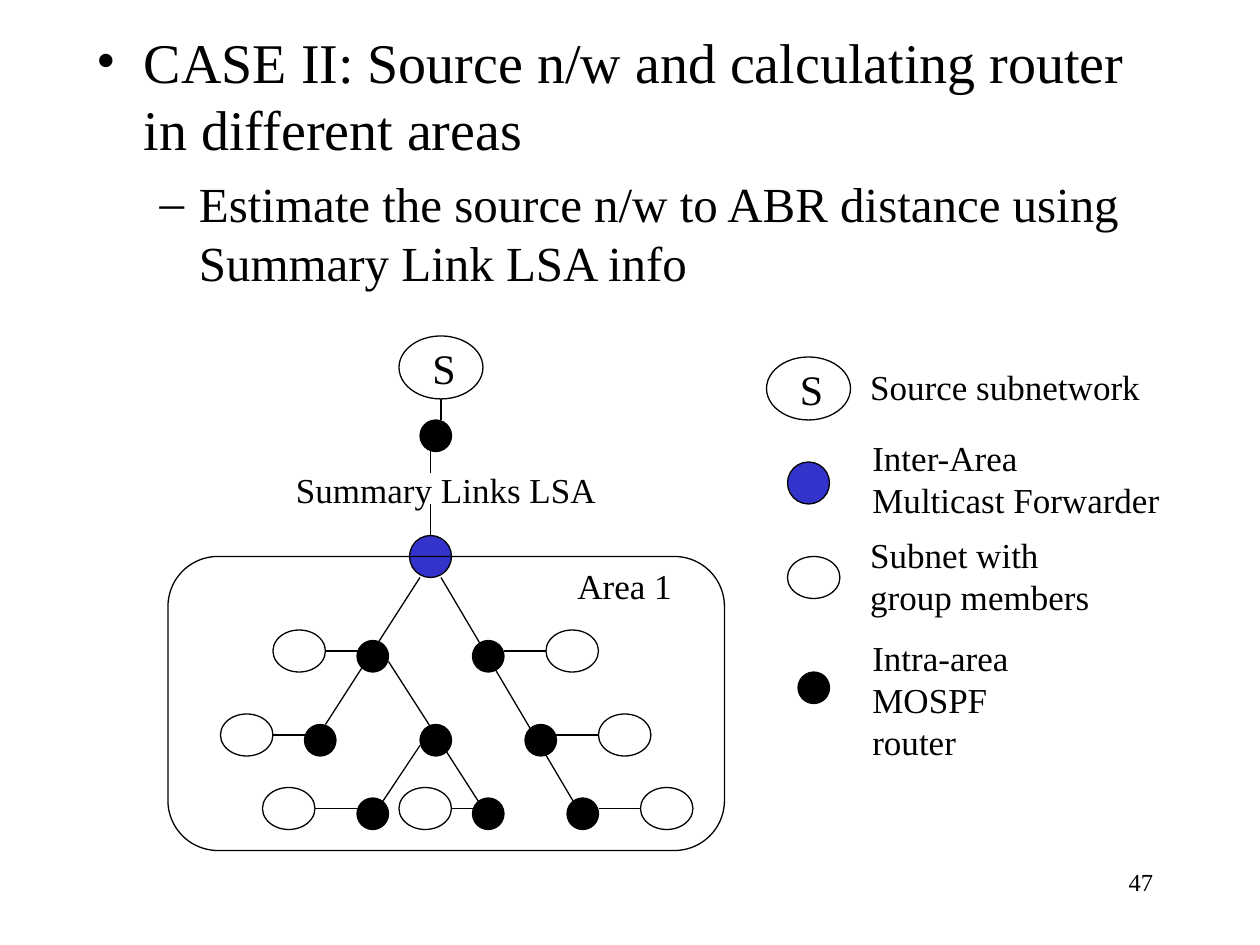
from lxml import etree
from pptx import Presentation
from pptx.dml.color import RGBColor
from pptx.enum.shapes import MSO_CONNECTOR, MSO_SHAPE
from pptx.enum.text import MSO_ANCHOR, MSO_AUTO_SIZE, PP_ALIGN
from pptx.oxml.ns import qn
from pptx.util import Pt

ELLIPSE, ROUNDED = MSO_SHAPE.OVAL, MSO_SHAPE.ROUNDED_RECTANGLE
STRAIGHT = MSO_CONNECTOR.STRAIGHT
LEFT, RIGHT = PP_ALIGN.LEFT, PP_ALIGN.RIGHT
TOP, NO_AUTOFIT = MSO_ANCHOR.TOP, MSO_AUTO_SIZE.NONE

EMU_PER_PX = 7620  # 120 px to the inch
FONT = "Times New Roman"
COLORS = {"ink": "000000", "forwarder": "3333CC"}
LINE_WIDTH = 0.75

ROUTER, FORWARDER = (30, 30), (40, 40)
SUBNET, SOURCE = (50, 40), (80, 60)

OUTLINE = [
    (0, 32, 0, "CASE II: Source n/w and calculating router in different areas"),
    (1, 28, 7, "Estimate the source n/w to ABR distance using Summary Link LSA info"),
]
ROUTERS = [
    (400, 400),
    (340, 610), (450, 610),
    (290, 690), (400, 690), (500, 690),
    (340, 760), (450, 760), (540, 760),
]
TREE_LINKS = [
    (420, 380, 420, 400),
    (410, 430, 410, 450),
    (410, 480, 410, 510),
    (400, 550, 310, 690),
    (420, 550, 550, 770),
    (370, 630, 460, 770),
    (400, 710, 360, 770),
]
# left, top, then the two ends of the link to the router
MEMBER_SUBNETS = [
    (260, 600, 310, 350), (520, 600, 480, 520),
    (210, 680, 260, 300), (570, 680, 530, 570),
    (250, 750, 300, 340), (380, 750, 430, 450), (610, 750, 570, 610),
]
LABELS = [
    (538, 532, 114, ["Area 1"]),
    (270, 440, 310, ["Summary Links LSA"]),
    (817, 342, 281, ["Source subnetwork"]),
    (819, 410, 298, ["Inter-Area", "Multicast Forwarder"]),
    (817, 502, 233, ["Subnet with", "group members"]),
    (819, 600, 221, ["Intra-area", "MOSPF router"]),
]


def px(value):
    return int(value * EMU_PER_PX)


def rgb(name):
    return RGBColor.from_string(COLORS[name])


class SlideBuilder:
    def __init__(self, slide):
        self.slide = slide

    def style_run(self, paragraph, text, size):
        run = paragraph.add_run()
        run.text = text
        for name, value in {"name": FONT, "size": Pt(size)}.items():
            setattr(run.font, name, value)
        run.font.color.rgb = rgb("ink")

    def outline(self, left, top, width, height, entries):
        """Fill the body placeholder with bulleted levels."""
        body = self.slide.placeholders[1]
        box = {"left": left, "top": top, "width": width, "height": height}
        for name, value in box.items():
            setattr(body, name, px(value))
        frame = body.text_frame
        frame.auto_size, frame.vertical_anchor = NO_AUTOFIT, TOP
        for index, (level, size, before, text) in enumerate(entries):
            paragraph = frame.add_paragraph() if index else frame.paragraphs[0]
            bullet_font = etree.SubElement(
                paragraph._p.get_or_add_pPr(), qn("a:buFont"))
            bullet_font.set("typeface", FONT)
            paragraph.level = level
            paragraph.space_before = Pt(before)
            self.style_run(paragraph, text, size)

    def text(self, left, top, width, height, lines, size, align=LEFT, wrap=False):
        box = self.slide.shapes.add_textbox(
            px(left), px(top), px(width), px(height))
        frame = box.text_frame
        frame.word_wrap = wrap
        for index, line in enumerate(lines):
            paragraph = frame.add_paragraph() if index else frame.paragraphs[0]
            paragraph.alignment = align
            self.style_run(paragraph, line, size)

    def shape(self, kind, left, top, size, fill=None):
        shape = self.slide.shapes.add_shape(
            kind, px(left), px(top), px(size[0]), px(size[1]))
        shape.shadow.inherit = False
        if fill:
            shape.fill.solid()
            shape.fill.fore_color.rgb = rgb(fill)
        else:
            shape.fill.background()
        self.style_line(shape.line)
        return shape

    def style_line(self, line):
        line.color.rgb = rgb("ink")
        line.width = Pt(LINE_WIDTH)

    def link(self, *ends):
        link = self.slide.shapes.add_connector(STRAIGHT, *map(px, ends))
        self.style_line(link.line)
        etree.SubElement(link._element.spPr, qn("a:effectLst"))

    def source(self, left, top):
        self.shape(ELLIPSE, left, top, SOURCE)
        self.text(left + 20, top, 46, 60, ["S"], 24)


def main():
    deck = Presentation()
    deck.slide_width, deck.slide_height = px(1200), px(900)
    slide = deck.slides.add_slide(deck.slide_layouts[1])
    title = slide.shapes.title._element
    title.getparent().remove(title)
    builder = SlideBuilder(slide)

    builder.text(860, 820, 250, 60, ["47"], 14, RIGHT, True)
    builder.outline(80, 20, 1020, 780, OUTLINE)

    builder.source(380, 320)
    for left, top in ROUTERS:
        builder.shape(ELLIPSE, left, top, ROUTER, "ink")
    builder.shape(ELLIPSE, 390, 510, FORWARDER, "forwarder")
    for ends in TREE_LINKS:
        builder.link(*ends)
    for left, top, start, end in MEMBER_SUBNETS:
        middle = top + SUBNET[1] // 2
        builder.shape(ELLIPSE, left, top, SUBNET)
        builder.link(start, middle, end, middle)
    area = builder.shape(ROUNDED, 160, 530, (530, 280))
    area.adjustments[0] = 0.17

    builder.source(730, 340)
    builder.shape(ELLIPSE, 750, 440, FORWARDER, "forwarder")
    builder.shape(ELLIPSE, 750, 530, SUBNET)
    builder.shape(ELLIPSE, 760, 640, ROUTER, "ink")
    for left, top, width, lines in LABELS:
        builder.text(left, top, width, 12 + 40 * len(lines), lines, 20)

    deck.save("out.pptx")


if __name__ == "__main__":
    main()
